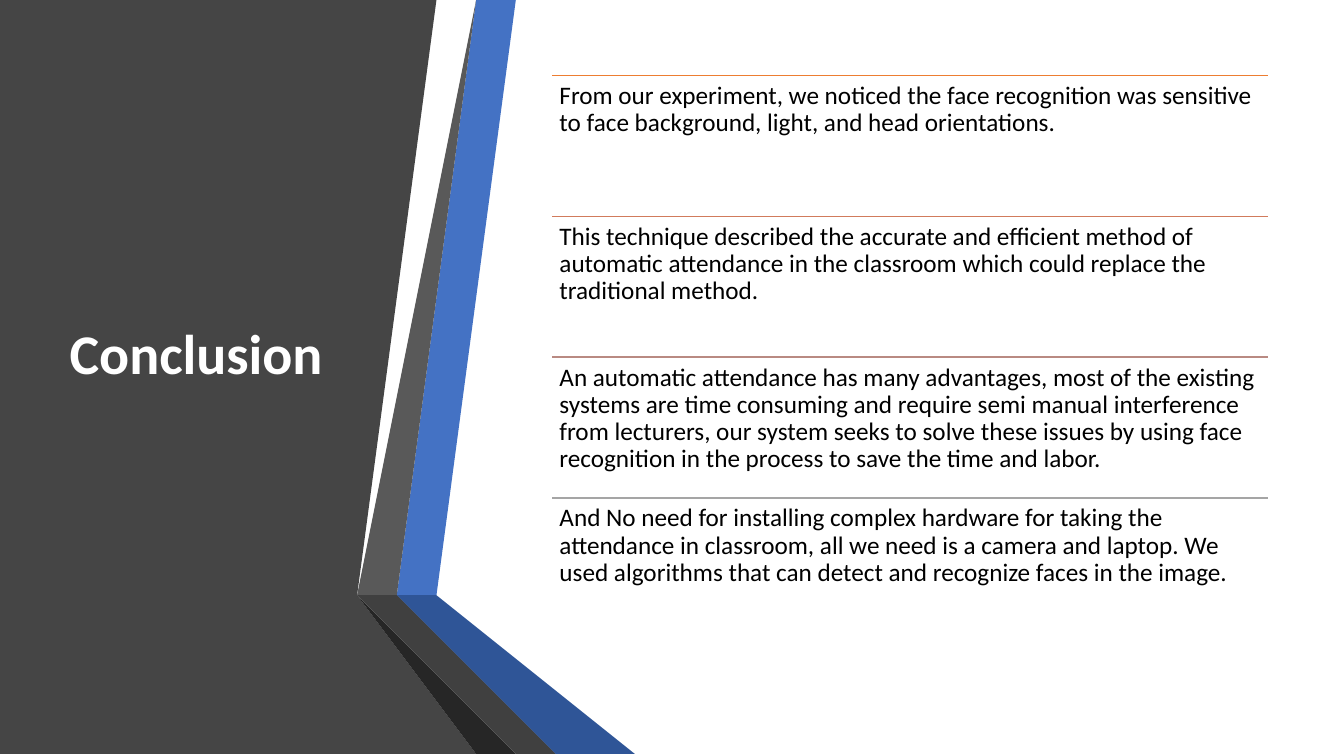
from dataclasses import dataclass

import pptx
import pptx.dml.color
import pptx.enum.shapes
import pptx.enum.text
import pptx.oxml
import pptx.oxml.ns
import pptx.slide
import pptx.text.text
import pptx.util

Cm = pptx.util.Cm
Pt = pptx.util.Pt


@dataclass(frozen=True)
class Theme:
    font: str = "Calibri"
    title_size: int = 40
    body_size: int = 18
    title: str = "FFFFFF"
    body: str = "000000"
    panel: str = "454545"
    blue: str = "4472C4"
    blue_fold: str = "2F5597"
    blue_edge: str = "203864"
    grey: str = "595959"
    grey_fold: str = "404040"
    grey_edge: str = "262626"
    rules: tuple[str, ...] = ("ED7D31", "D17B5C", "B98A82", "A5A5A5")


@dataclass(frozen=True)
class Band:
    color: str
    points: list[tuple[float, float]]


@dataclass(frozen=True)
class Finding:
    text: str
    rule: str


THEME = Theme()
WIDTH, HEIGHT = 33.87, 19.05
ROW_LEFT, ROW_TOP, ROW_WIDTH, ROW_HEIGHT = 13.92, 1.9, 18.03, 3.55
ROW_INSET = 0.18

# Side panel and folded ribbons, from back to front, in centimetres
BANDS = [
    Band(THEME.panel, [(0, 0), (11.4, 0), (9.04, 14.6), (9.04, 14.63),
                       (12.24, HEIGHT), (0, HEIGHT)]),
    Band(THEME.blue, [(10.06, 14.68), (10.74, 14.81), (13.18, 0), (12.47, 0)]),
    Band(THEME.grey, [(12.32, 0), (11.61, 0), (9.22, 14.55), (9.91, 14.66)]),
    Band(THEME.grey_edge, [(9.22, 14.55), (12.47, HEIGHT), (12.62, HEIGHT)]),
    Band(THEME.blue_edge, [(10.06, 14.71), (14.07, HEIGHT), (14.22, HEIGHT)]),
    Band(THEME.blue_fold, [(10.06, 14.71), (14.22, HEIGHT), (15.98, HEIGHT),
                           (10.74, 14.81), (10.06, 14.68)]),
    Band(THEME.grey_fold, [(13.92, HEIGHT), (10.03, 14.81), (9.88, 14.68),
                           (9.91, 14.66), (9.22, 14.55), (12.62, HEIGHT)]),
]

TEXTS = [
    "From our experiment, we noticed the face recognition was sensitive to face "
    "background, light, and head orientations.",
    "This technique described the accurate and efficient method of automatic "
    "attendance in the classroom which could replace the traditional method.",
    "An automatic attendance has many advantages, most of the existing systems are "
    "time consuming and require semi manual interference from lecturers, our system "
    "seeks to solve these issues by using face recognition in the process to save "
    "the time and labor.",
    "And No need for installing complex hardware for taking the attendance in "
    "classroom, all we need is a camera and laptop. We used algorithms that can "
    "detect and recognize faces in the image.",
]
FINDINGS = [Finding(text, rule) for text, rule in zip(TEXTS, THEME.rules)]


def rgb(color: str) -> pptx.dml.color.RGBColor:
    return pptx.dml.color.RGBColor.from_string(color)


def format_text(tf: pptx.text.text.TextFrame, size: int, color: str,
                bold: bool = False) -> None:
    tf.word_wrap = True
    tf.auto_size = pptx.enum.text.MSO_AUTO_SIZE.NONE
    for p in tf.paragraphs:
        p.alignment = pptx.enum.text.PP_ALIGN.LEFT
        p.line_spacing = 0.9
        for r in p.runs:
            r.font.name = THEME.font
            r.font.size = Pt(size)
            r.font.bold = bold
            r.font.color.rgb = rgb(color)


def draw_band(s: pptx.slide.Slide, band: Band) -> None:
    start, *rest = band.points
    builder = s.shapes.build_freeform(*start, scale=float(Cm(1)))
    builder.add_line_segments(rest, close=True)
    sp = builder.convert_to_shape()
    sp.fill.solid()
    sp.fill.fore_color.rgb = rgb(band.color)
    sp.line.fill.background()
    sp.shadow.inherit = False


def draw_title(s: pptx.slide.Slide, text: str) -> None:
    sp = s.shapes.title
    sp.left, sp.top, sp.width, sp.height = Cm(1.5), Cm(1.9), Cm(7.72), Cm(14.17)
    tf = sp.text_frame
    tf.text = text
    tf.vertical_anchor = pptx.enum.text.MSO_ANCHOR.MIDDLE
    format_text(tf, THEME.title_size, THEME.title, bold=True)
    s.shapes._spTree.append(sp._element)  # bring in front of the panel


def draw_finding(s: pptx.slide.Slide, finding: Finding, top: float) -> None:
    rule = s.shapes.add_connector(
        pptx.enum.shapes.MSO_CONNECTOR.STRAIGHT,
        Cm(ROW_LEFT), Cm(top), Cm(ROW_LEFT + ROW_WIDTH), Cm(top))
    rule.line.color.rgb = rgb(finding.rule)
    rule.line.width = Pt(1)
    pptx.oxml.ns.qn("a:effectLst")
    rule._element.spPr.append(
        pptx.oxml.xmlchemy.OxmlElement("a:effectLst"))

    sp = s.shapes.add_textbox(Cm(ROW_LEFT), Cm(top), Cm(ROW_WIDTH), Cm(ROW_HEIGHT))
    tf = sp.text_frame
    tf.text = finding.text
    tf.margin_left = tf.margin_right = Cm(ROW_INSET)
    tf.margin_top = tf.margin_bottom = Cm(ROW_INSET)
    format_text(tf, THEME.body_size, THEME.body)


def main() -> None:
    prs = pptx.Presentation()
    prs.slide_width, prs.slide_height = Cm(WIDTH), Cm(HEIGHT)
    title_only = prs.slide_layouts[5]
    s = prs.slides.add_slide(title_only)

    # Left side
    for band in BANDS:
        draw_band(s, band)
    draw_title(s, "Conclusion")

    # Ruled findings at an even pitch
    for i, finding in enumerate(FINDINGS):
        draw_finding(s, finding, ROW_TOP + i * ROW_HEIGHT)

    prs.save("out.pptx")


if __name__ == "__main__":
    main()
